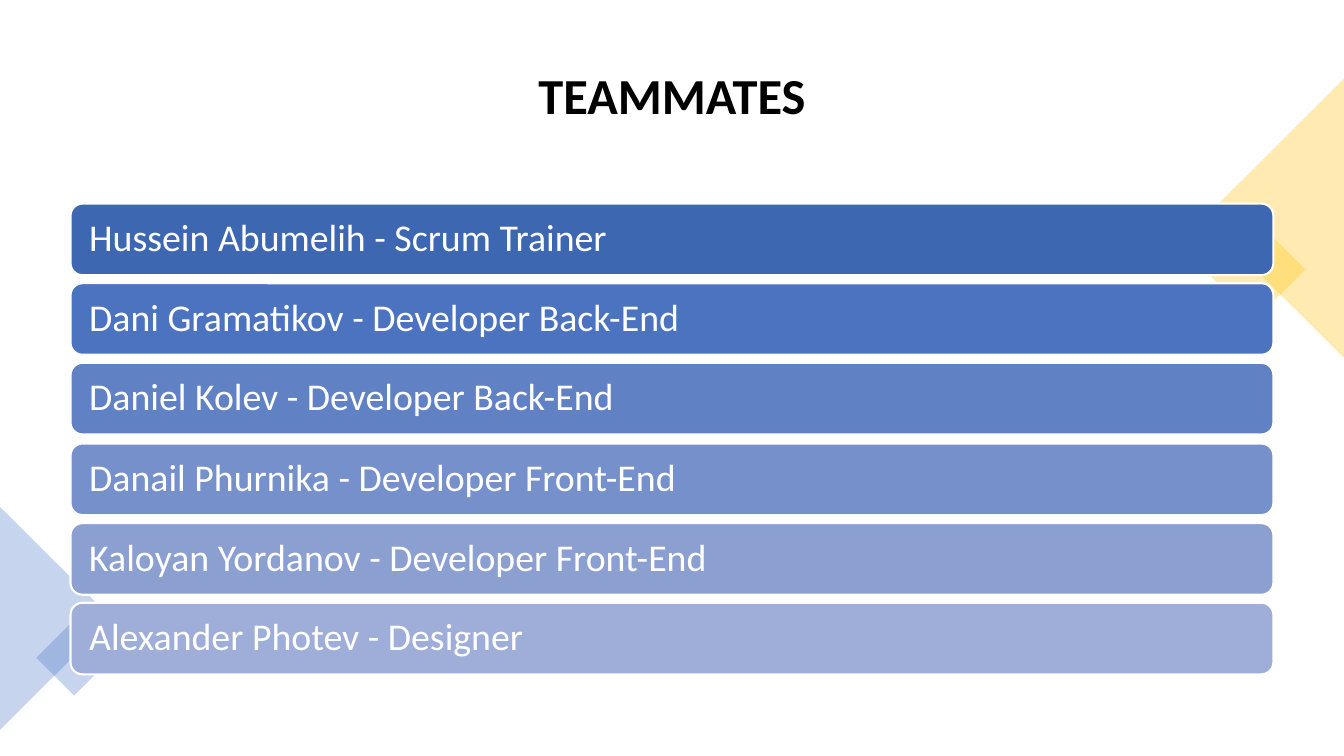
from pptx import Presentation
from pptx.dml.color import RGBColor
from pptx.enum.shapes import MSO_SHAPE
from pptx.enum.text import MSO_ANCHOR, PP_ALIGN
from pptx.oxml.ns import qn
from pptx.util import Pt
from lxml.etree import SubElement

PX = 9144
COLORS = {
    "black": "000000",
    "white": "FFFFFF",
    "gold": "FFC000",
    "blue": "4472C4",
}
TEAM = [
    ("Hussein Abumelih - Scrum Trainer", "3E67B2"),
    ("Dani Gramatikov - Developer Back-End", "4C73BF"),
    ("Daniel Kolev - Developer Back-End", "6181C5"),
    ("Danail Phurnika - Developer Front-End", "7690CB"),
    ("Kaloyan Yordanov - Developer Front-End", "8B9FD1"),
    ("Alexander Photev - Designer", "9FAED8"),
]
DECOR = [
    (MSO_SHAPE.RECTANGLE, (1209, 232, 71, 71), 45, "gold"),
    (MSO_SHAPE.ISOSCELES_TRIANGLE, (1125, 147, 277, 139), 270, "gold"),
    (MSO_SHAPE.ISOSCELES_TRIANGLE, (-55, 558, 221, 111), 90, "blue"),
    (MSO_SHAPE.RECTANGLE, (47, 626, 53, 53), 45, "blue"),
]
LEFT, WIDTH = 70, 1193
TOP, STEP, HEIGHT = 202, 79.2, 71


def scale(box):
    return [n * PX for n in box]


def write(shape, text, size, color, bold=False, align=PP_ALIGN.LEFT, inset=10, after=0):
    frame = shape.text_frame
    frame.word_wrap = True
    frame.vertical_anchor = MSO_ANCHOR.MIDDLE
    frame.margin_left = frame.margin_right = inset * PX
    frame.margin_top = frame.margin_bottom = 5 * PX
    para = frame.paragraphs[0]
    para.alignment = align
    para.line_spacing = 0.9
    para.space_after = Pt(after)
    run = para.add_run()
    run.text = text
    run.font.name = "Calibri"
    run.font.size = Pt(size)
    run.font.bold = bold
    run.font.color.rgb = RGBColor.from_string(COLORS[color])


def draw(slide, kind, box, fill):
    shape = slide.shapes.add_shape(kind, *scale(box))
    shape.shadow.inherit = False
    shape.fill.solid()
    shape.fill.fore_color.rgb = RGBColor.from_string(fill)
    return shape


def decor(slide, kind, box, turn, color):
    shape = draw(slide, kind, box, COLORS[color])
    shape.rotation = turn
    shape.line.fill.background()
    tint = shape.fill._xPr.find(qn("a:solidFill"))[0]
    SubElement(tint, qn("a:alpha")).set("val", "30000")


def bar(slide, top, text, fill):
    shape = draw(slide, MSO_SHAPE.ROUNDED_RECTANGLE, (LEFT, top, WIDTH, HEIGHT), fill)
    shape.line.color.rgb = RGBColor.from_string(COLORS["white"])
    shape.line.width = Pt(1.5)
    write(shape, text, 27, "white", inset=15)


def main():
    deck = Presentation()
    deck.slide_width, deck.slide_height = scale((1333, 750))
    slide = deck.slides.add_slide(deck.slide_layouts[5])

    title = slide.shapes.title
    title.left, title.top, title.width, title.height = scale((70, 35, 1193, 124))
    write(title, "TEAMMATES", 36, "black", bold=True, align=PP_ALIGN.CENTER)

    for kind, box, turn, color in DECOR:
        decor(slide, kind, box, turn, color)
    for row, (text, fill) in enumerate(TEAM):
        bar(slide, round(TOP + row * STEP), text, fill)

    deck.save("out.pptx")


if __name__ == "__main__":
    main()
